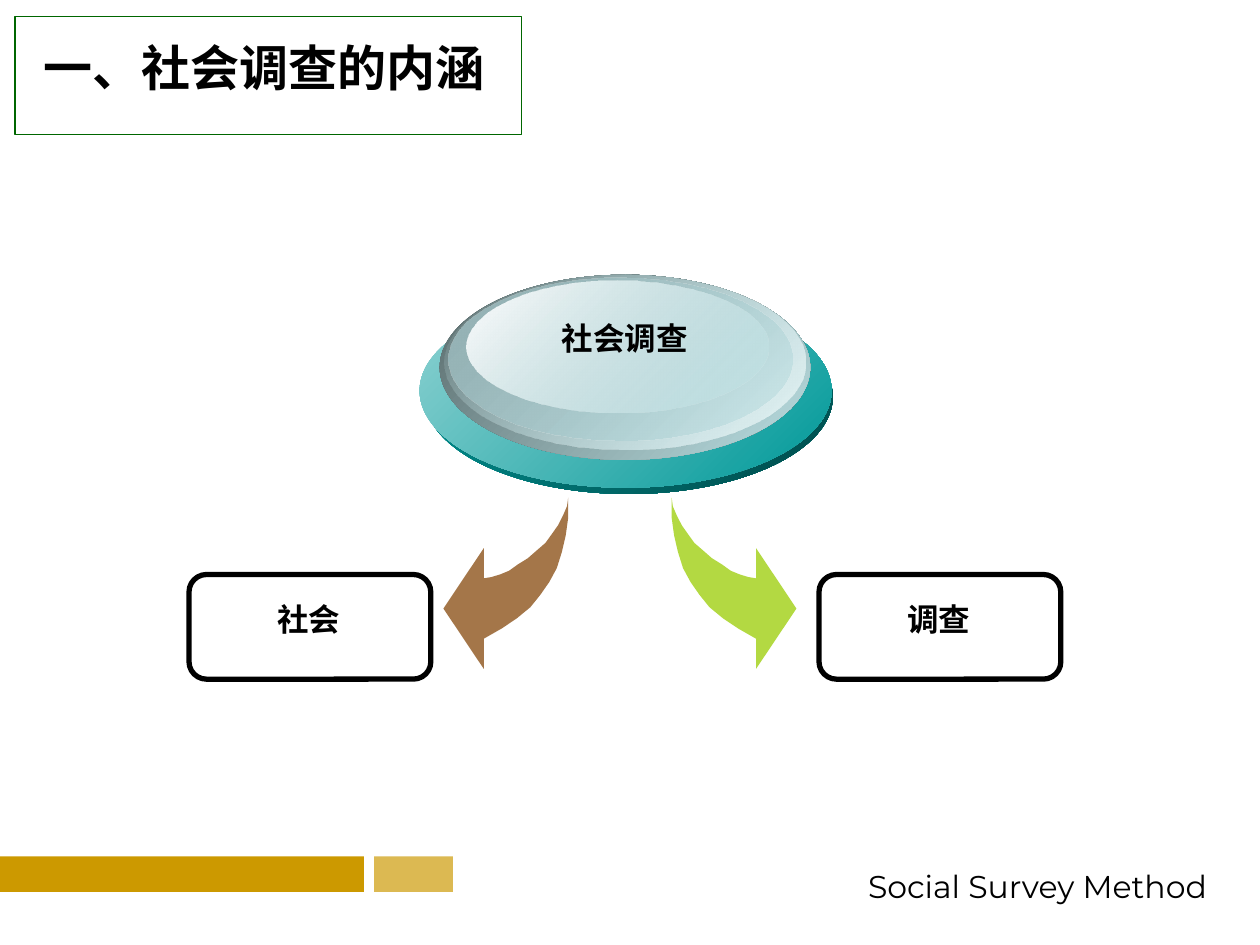
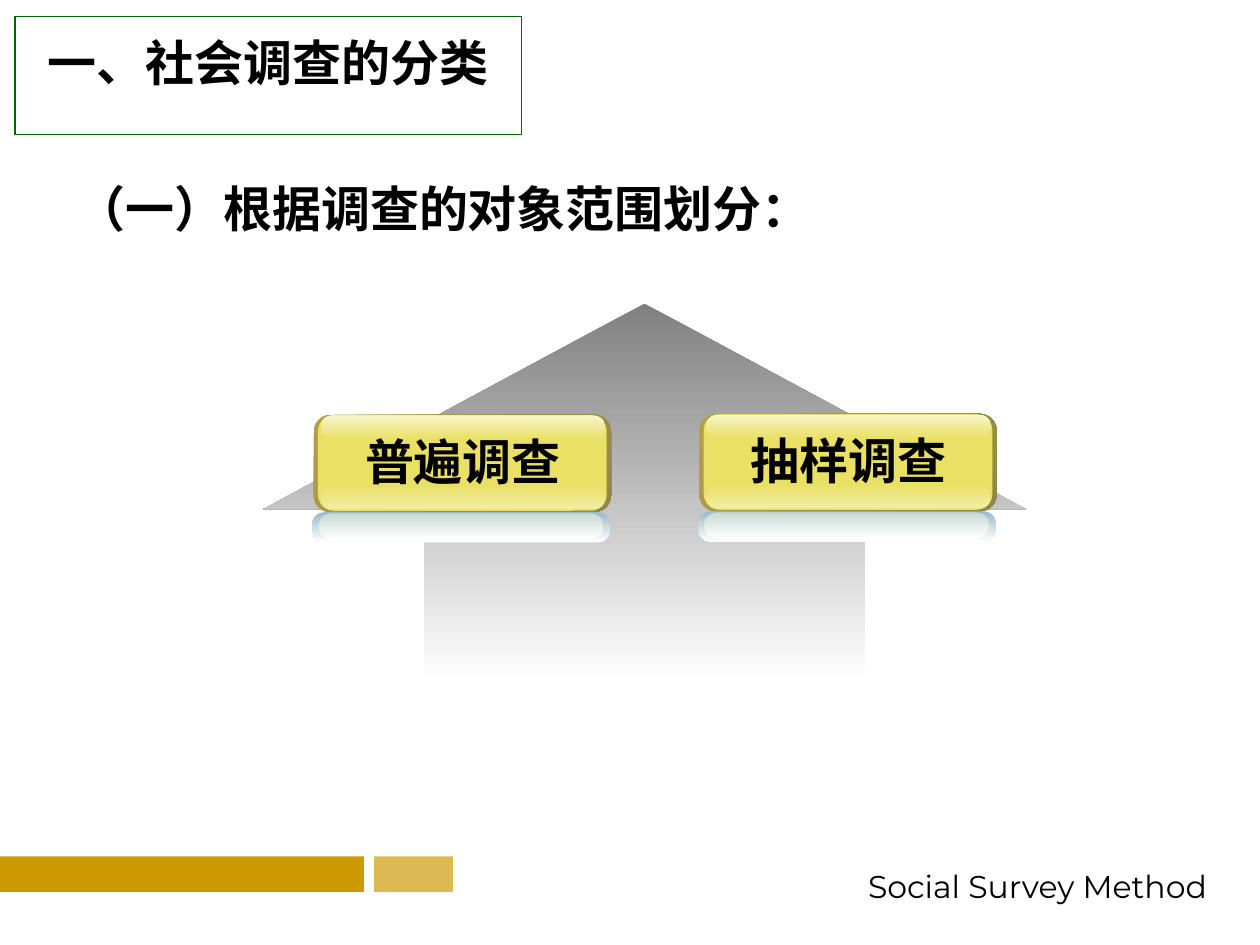
from dataclasses import dataclass
from typing import NamedTuple

import pptx
import pptx.dml.color
import pptx.dml.fill
import pptx.enum.shapes
import pptx.enum.text
import pptx.oxml
import pptx.oxml.ns
import pptx.presentation
import pptx.shapes.autoshape
import pptx.slide
import pptx.util
from lxml import etree

Pt = pptx.util.Pt
Preset = pptx.enum.shapes.MSO_SHAPE
Align = pptx.enum.text.PP_ALIGN


@dataclass(frozen=True)
class Theme:
    ink: str = "000000"
    white: str = "FFFFFF"
    gold: str = "CC9900"
    frame: str = "006600"
    teal: str = "009999"
    dark_teal: str = "004A4A"
    pale_teal: str = "8ED2D2"
    slate: str = "576869"
    grey_blue: str = "94B1B4"
    ice: str = "BBE0E3"
    pale_ice: str = "E7F4F5"
    brown: str = "996633"
    lime: str = "99CC00"
    grey: str = "808080"
    rim: str = "B59F43"
    dark_rim: str = "8F8849"
    yellow: str = "E9E065"
    soft_yellow: str = "F2EDA6"
    pale_yellow: str = "F8F5CC"
    reflection: str = "99BACC"
    inner_reflection: str = "C8DAD4"
    heading_size: float = 28
    label_size: float = 18
    footer_font: str = "Montserrat"
    label_font: str = "Noto Sans CJK SC"
    title_font: str = "Arial"
    button_font: str = "DejaVu Sans"


THEME = Theme()


class Box(NamedTuple):
    left: float
    top: float
    width: float
    height: float

    def moved(self, left: float, top: float) -> "Box":
        return Box(self.left + left, self.top + top, self.width, self.height)


class Paint(NamedTuple):
    color: str
    opacity: int = 100


class Gradient(NamedTuple):
    start: Paint
    end: Paint
    angle: int = 45


class Layer(NamedTuple):
    preset: Preset
    box: Box
    fill: Paint | Gradient | None = None
    adjustments: tuple[float, ...] = ()
    line: str | None = None
    line_width: float = 0.75


class CurvedArrow(NamedTuple):
    tail_left: float
    direction: int
    fill: Paint


class Label(NamedTuple):
    text: str
    left: float
    top: float


BANDS = (
    Layer(Preset.RECTANGLE, Box(0, 489.4, 208, 20.3), Paint(THEME.gold)),
    Layer(Preset.RECTANGLE, Box(213.8, 489.4, 45, 20.3), Paint(THEME.gold, 68)),
)
TITLE_FRAME = Layer(Preset.RECTANGLE, Box(8.6, 9.4, 289.4, 67.7), line=THEME.frame)

DISC_LAYERS = tuple(
    Layer(Preset.OVAL, box, Gradient(start, end))
    for box, start, end in (
        (Box(242.6, 171.4, 233.3, 110.9), Paint(THEME.teal), Paint(THEME.dark_teal)),
        (Box(239.8, 167.8, 235.4, 110.9), Paint(THEME.pale_teal), Paint(THEME.teal)),
        (Box(251.3, 157, 211.7, 105.8), Paint(THEME.slate), Paint(THEME.ice)),
        (Box(254.2, 157, 205.9, 100), Paint(THEME.ice, 0), Paint(THEME.pale_ice)),
        (Box(256.3, 158.4, 196.6, 93.6), Paint(THEME.grey_blue), Paint(THEME.ice, 48)),
        (Box(266.4, 160.6, 172.8, 75), Paint(THEME.white), Paint(THEME.ice, 38)),
    )
)
CONCEPTS = (Label("社会", 108, 328.3), Label("调查", 468, 328.3))
CURVED_ARROWS = (
    CurvedArrow(324.7, -1, Paint(THEME.brown, 89)),
    CurvedArrow(383.8, 1, Paint(THEME.lime, 74)),
)
ARROW_TOP = 284.4
ARROW_OUTLINE = (
    (0, 0), (0, 11.5), (1.4, 21.6), (3.6, 31), (6.5, 40.3), (10.8, 48.2),
    (15.8, 55.4), (21.6, 62.6), (29.5, 69.1), (38.2, 74.9), (48.2, 80.6),
    (48.2, 97.9), (71.3, 63.4), (48.2, 28.8), (48.2, 46.1), (43.9, 45.4),
    (38.9, 43.9), (33.8, 41.8), (28.8, 38.2), (23, 34.6), (18, 30.2),
    (13, 25.9), (9.4, 20.9), (5.8, 15.8), (2.9, 10.1), (0.7, 5),
)

UP_ARROW = Layer(
    Preset.UP_ARROW,
    Box(150.5, 173.5, 435.6, 216),
    Gradient(Paint(THEME.grey), Paint(THEME.white), 90),
    (0.578, 0.544),
)
BUTTONS = (Label("抽样调查", 399.6, 236.4), Label("普遍调查", 179.2, 236.9))
BUTTON_LAYERS = tuple(
    Layer(Preset.ROUNDED_RECTANGLE, box, fill, (corner,))
    for box, corner, fill in (
        (Box(0, 0, 170, 55.8), 0.175,
         Gradient(Paint(THEME.rim), Paint(THEME.dark_rim))),
        (Box(2.5, 0.3, 165, 54.7), 0.167, Paint(THEME.yellow)),
        (Box(4, 40.4, 162.7, 13.7), 0.5,
         Gradient(Paint(THEME.yellow), Paint(THEME.soft_yellow), 90)),
        (Box(4, 0.5, 162.7, 13.7), 0.5,
         Gradient(Paint(THEME.pale_yellow), Paint(THEME.yellow), 90)),
        (Box(-0.7, 55.8, 170, 17.3), 0.404,
         Gradient(Paint(THEME.reflection), Paint(THEME.white), 90)),
        (Box(2.9, 56.4, 162.7, 15.1), 0.5,
         Gradient(Paint(THEME.inner_reflection), Paint(THEME.white), 90)),
    )
)


def rgb(color: str) -> pptx.dml.color.RGBColor:
    return pptx.dml.color.RGBColor.from_string(color)


def set_opacity(color_element: etree._Element, opacity: int) -> None:
    if opacity < 100:
        alpha = etree.SubElement(color_element, pptx.oxml.ns.qn("a:alpha"))
        alpha.set("val", str(opacity * 1000))


def apply_fill(
    shape: pptx.shapes.autoshape.Shape, fill: Paint | Gradient | None
) -> None:
    if fill is None:
        shape.fill.background()
        return
    if isinstance(fill, Gradient):
        shape.fill.gradient()
        shape.fill.gradient_angle = 360 - fill.angle
        paints = (fill.start, fill.end)
        for stop, paint in zip(shape.fill.gradient_stops, paints):
            stop.color.rgb = rgb(paint.color)
    else:
        shape.fill.solid()
        shape.fill.fore_color.rgb = rgb(fill.color)
        paints = (fill,)
    fill_tag = "a:gradFill" if isinstance(fill, Gradient) else "a:solidFill"
    fill_element = shape.element.spPr.find(pptx.oxml.ns.qn(fill_tag))
    colors = fill_element.iter(pptx.oxml.ns.qn("a:srgbClr"))
    for color_element, paint in zip(list(colors), paints):
        set_opacity(color_element, paint.opacity)


def draw_layer(
    slide: pptx.slide.Slide, layer: Layer, left: float = 0, top: float = 0
) -> None:
    box = layer.box.moved(left, top)
    shape = slide.shapes.add_shape(layer.preset, *map(Pt, box))
    shape.shadow.inherit = False
    for index, value in enumerate(layer.adjustments):
        shape.adjustments[index] = value
    apply_fill(shape, layer.fill)
    if layer.line is None:
        shape.line.fill.background()
    else:
        shape.line.color.rgb = rgb(layer.line)
        shape.line.width = Pt(layer.line_width)


def draw_curved_arrow(slide: pptx.slide.Slide, arrow: CurvedArrow) -> None:
    points = [
        (Pt(arrow.tail_left + arrow.direction * x), Pt(ARROW_TOP + y))
        for x, y in ARROW_OUTLINE
    ]
    builder = slide.shapes.build_freeform(*points[0])
    builder.add_line_segments(points[1:], close=True)
    shape = builder.convert_to_shape()
    shape.shadow.inherit = False
    apply_fill(shape, arrow.fill)
    shape.line.fill.background()


def add_text(
    slide: pptx.slide.Slide,
    text: str,
    box: Box,
    *,
    font: str,
    size: float = THEME.heading_size,
    bold: bool = True,
    align: Align = Align.LEFT,
    wrap: bool = True,
) -> None:
    frame = slide.shapes.add_textbox(*map(Pt, box)).text_frame
    frame.word_wrap = wrap
    paragraph = frame.paragraphs[0]
    paragraph.alignment = align
    run = paragraph.add_run()
    run.text = text
    run.font.name = font
    run.font.size = Pt(size)
    run.font.bold = bold
    run.font.color.rgb = rgb(THEME.ink)
    latin = run.font._element.find(pptx.oxml.ns.qn("a:latin"))
    east_asian = etree.Element(pptx.oxml.ns.qn("a:ea"))
    east_asian.set("typeface", font)
    latin.addnext(east_asian)


def add_label(slide: pptx.slide.Slide, text: str, box: Box) -> None:
    add_text(slide, text, box, font=THEME.label_font, size=THEME.label_size,
             align=Align.CENTER, wrap=False)


def start_slide(
    presentation: pptx.presentation.Presentation, title: str, title_box: Box
) -> pptx.slide.Slide:
    slide = presentation.slides.add_slide(presentation.slide_layouts[6])
    for band in BANDS:
        draw_layer(slide, band)
    add_text(slide, "Social Survey Method", Box(473, 491.8, 239.8, 23.8),
             font=THEME.footer_font, size=THEME.label_size, bold=False,
             align=Align.CENTER, wrap=False)
    add_text(slide, title, title_box, font=THEME.title_font)
    draw_layer(slide, TITLE_FRAME)
    return slide


def build_meaning_slide(presentation: pptx.presentation.Presentation) -> None:
    slide = start_slide(presentation, "一、社会调查的内涵", Box(18, 18, 311.8, 41))
    concept_frame = Layer(Preset.ROUNDED_RECTANGLE, Box(0, 0, 138.2, 59.8),
                          adjustments=(0.167,), line=THEME.ink, line_width=3)
    for concept in CONCEPTS:
        draw_layer(slide, concept_frame, concept.left, concept.top)
        label_box = Box(11.5, 10.8, 113.8, 36).moved(concept.left, concept.top)
        add_label(slide, concept.text, label_box)
    for arrow in CURVED_ARROWS:
        draw_curved_arrow(slide, arrow)
    for layer in DISC_LAYERS:
        draw_layer(slide, layer)
    add_label(slide, "社会调查", Box(282.2, 178.6, 149.8, 41.8))


def build_types_slide(presentation: pptx.presentation.Presentation) -> None:
    slide = start_slide(presentation, "一、社会调查的分类", Box(20.2, 15.1, 288.7, 41))
    add_text(slide, "（一）根据调查的对象范围划分：", Box(36.7, 98.6, 595.4, 41),
             font=THEME.label_font)
    draw_layer(slide, UP_ARROW)
    for button in BUTTONS:
        for layer in BUTTON_LAYERS:
            draw_layer(slide, layer, button.left, button.top)
        label_box = Box(22.3, 6, 130.3, 41).moved(button.left, button.top)
        add_text(slide, button.text, label_box, font=THEME.button_font)


def main() -> None:
    presentation = pptx.Presentation()
    presentation.slide_width = Pt(720)
    presentation.slide_height = Pt(540)
    build_meaning_slide(presentation)
    build_types_slide(presentation)
    presentation.save("out.pptx")


if __name__ == "__main__":
    main()
